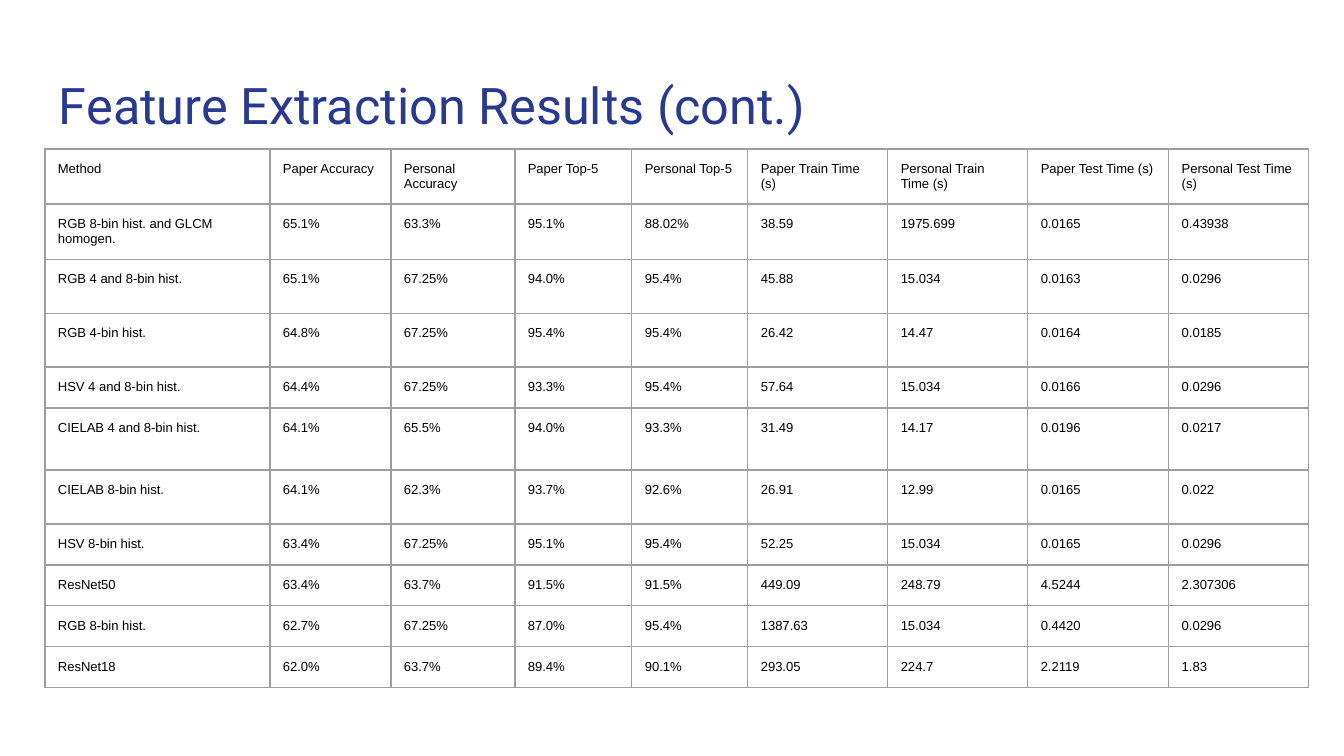
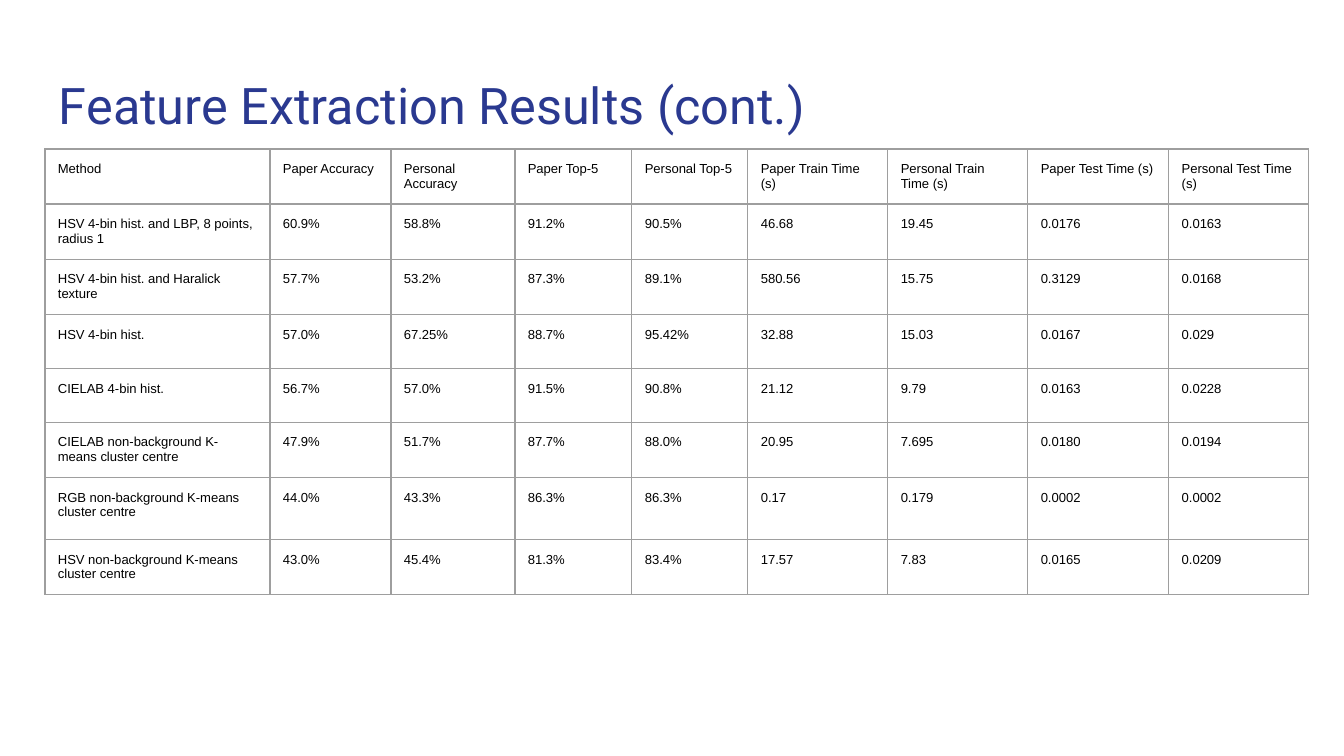
from dataclasses import dataclass

from lxml import etree
from pptx import Presentation
from pptx.dml.color import RGBColor
from pptx.enum.text import MSO_ANCHOR, MSO_AUTO_SIZE, PP_ALIGN
from pptx.oxml.ns import qn
from pptx.util import Pt

MIDDLE = MSO_ANCHOR.MIDDLE
TOP = MSO_ANCHOR.TOP
LEFT = PP_ALIGN.LEFT
NO_FIT = MSO_AUTO_SIZE.NONE
SCALE = 9144000 / 1344
TITLE_ONLY = 5


@dataclass(frozen=True)
class Theme:
    """Colours, fonts, type sizes and spacing shared by the slides."""
    title: str = "2A3990"
    body: str = "000000"
    rule: str = "9E9E9E"
    back: str = "FFFFFF"
    head_font: str = "Roboto"
    body_font: str = "Arial"
    head_size: int = 27
    body_size: int = 7
    rule_width: float = 0.75
    inset: int = 13


THEME = Theme()
TITLE = "Feature Extraction Results (cont.)"
TITLE_BOX = (46, 60, 1253, 89)
TABLE_AT = (45, 149)
WIDTHS = (225, 121, 124, 117, 116, 140, 140, 141, 140)
HEAD = ("Method|Paper Accuracy|Personal Accuracy|Paper Top-5|Personal Top-5|"
        "Paper Train Time (s)|Personal Train Time (s)|"
        "Paper Test Time (s)|Personal Test Time (s)")

FIRST = (
    (54, HEAD),
    (47, "RGB 8-bin hist. and GLCM homogen.|65.1%|63.3%|95.1%|88.02%|38.59|1975.699|0.0165|0.43938"),
    (54, "RGB 4 and 8-bin hist.|65.1%|67.25%|94.0%|95.4%|45.88|15.034|0.0163|0.0296"),
    (54, "RGB 4-bin hist.|64.8%|67.25%|95.4%|95.4%|26.42|14.47|0.0164|0.0185"),
    (41, "HSV 4 and 8-bin hist.|64.4%|67.25%|93.3%|95.4%|57.64|15.034|0.0166|0.0296"),
    (62, "CIELAB 4 and 8-bin hist.|64.1%|65.5%|94.0%|93.3%|31.49|14.17|0.0196|0.0217"),
    (54, "CIELAB 8-bin hist.|64.1%|62.3%|93.7%|92.6%|26.91|12.99|0.0165|0.022"),
    (41, "HSV 8-bin hist.|63.4%|67.25%|95.1%|95.4%|52.25|15.034|0.0165|0.0296"),
    (41, "ResNet50|63.4%|63.7%|91.5%|91.5%|449.09|248.79|4.5244|2.307306"),
    (41, "RGB 8-bin hist.|62.7%|67.25%|87.0%|95.4%|1387.63|15.034|0.4420|0.0296"),
    (41, "ResNet18|62.0%|63.7%|89.4%|90.1%|293.05|224.7|2.2119|1.83"),
)

SECOND = (
    (54, HEAD),
    (47, "HSV 4-bin hist. and LBP, 8 points, radius 1|60.9%|58.8%|91.2%|90.5%|46.68|19.45|0.0176|0.0163"),
    (47, "HSV 4-bin hist. and Haralick texture|57.7%|53.2%|87.3%|89.1%|580.56|15.75|0.3129|0.0168"),
    (54, "HSV 4-bin hist.|57.0%|67.25%|88.7%|95.42%|32.88|15.03|0.0167|0.029"),
    (54, "CIELAB 4-bin hist.|56.7%|57.0%|91.5%|90.8%|21.12|9.79|0.0163|0.0228"),
    (41, "CIELAB non-background K-means cluster centre|47.9%|51.7%|87.7%|88.0%|20.95|7.695|0.0180|0.0194"),
    (62, "RGB non-background K-means cluster centre|44.0%|43.3%|86.3%|86.3%|0.17|0.179|0.0002|0.0002"),
    (54, "HSV non-background K-means cluster centre|43.0%|45.4%|81.3%|83.4%|17.57|7.83|0.0165|0.0209"),
)


def px(size):
    """Turn px into EMU."""
    return round(size * SCALE)


def assign(target, values):
    """Set each named attribute on the target."""
    for name, value in values.items():
        setattr(target, name, value)


def margins():
    """Give the inset for all four sides."""
    return {f"margin_{side}": px(THEME.inset)
            for side in ("left", "top", "right", "bottom")}


def write(frame, text, font, size, color):
    """Put one styled, left-aligned run in a text frame."""
    para = frame.paragraphs[0]
    para.alignment = LEFT
    run = para.add_run()
    run.text = text
    assign(run.font, {"name": font, "size": Pt(size), "bold": False})
    run.font.color.rgb = RGBColor.from_string(color)


def border(cell):
    """Draw a thin solid rule on each side of a cell."""
    props = cell._tc.get_or_add_tcPr()
    for side in ("lnL", "lnR", "lnT", "lnB"):
        line = etree.SubElement(props, qn(f"a:{side}"), w=str(Pt(THEME.rule_width)))
        fill = etree.SubElement(line, qn("a:solidFill"))
        etree.SubElement(fill, qn("a:srgbClr"), val=THEME.rule)


def add_title(slide, text):
    """Place and style the title placeholder."""
    shape = slide.shapes.title
    assign(shape, dict(zip(("left", "top", "width", "height"), map(px, TITLE_BOX))))
    frame = shape.text_frame
    assign(frame, {"word_wrap": True, "auto_size": NO_FIT,
                   "vertical_anchor": MIDDLE, **margins()})
    write(frame, text, THEME.head_font, THEME.head_size, THEME.title)


def add_grid(slide, rows):
    """Add a ruled table from row heights and bar-separated text."""
    high = sum(height for height, _ in rows)
    size = (*TABLE_AT, sum(WIDTHS), high)
    table = slide.shapes.add_table(len(rows), len(WIDTHS), *map(px, size)).table
    assign(table, {"first_row": False, "horz_banding": False})
    for column, width in zip(table.columns, WIDTHS):
        column.width = px(width)
    for row, (height, line) in zip(table.rows, rows):
        row.height = px(height)
        for cell, text in zip(row.cells, line.split("|")):
            assign(cell, {"vertical_anchor": TOP, **margins()})
            border(cell)
            cell.fill.background()
            write(cell.text_frame, text, THEME.body_font, THEME.body_size, THEME.body)


def add_page(deck, rows):
    """Add one slide with the shared title and a table."""
    slide = deck.slides.add_slide(deck.slide_layouts[TITLE_ONLY])
    fill = slide.background.fill
    fill.solid()
    fill.fore_color.rgb = RGBColor.from_string(THEME.back)
    add_title(slide, TITLE)
    add_grid(slide, rows)


def main():
    """Build and save the deck."""
    deck = Presentation()
    assign(deck, {"slide_width": px(1344), "slide_height": px(756)})
    for rows in (FIRST, SECOND):
        add_page(deck, rows)
    deck.save("out.pptx")


if __name__ == "__main__":
    main()
